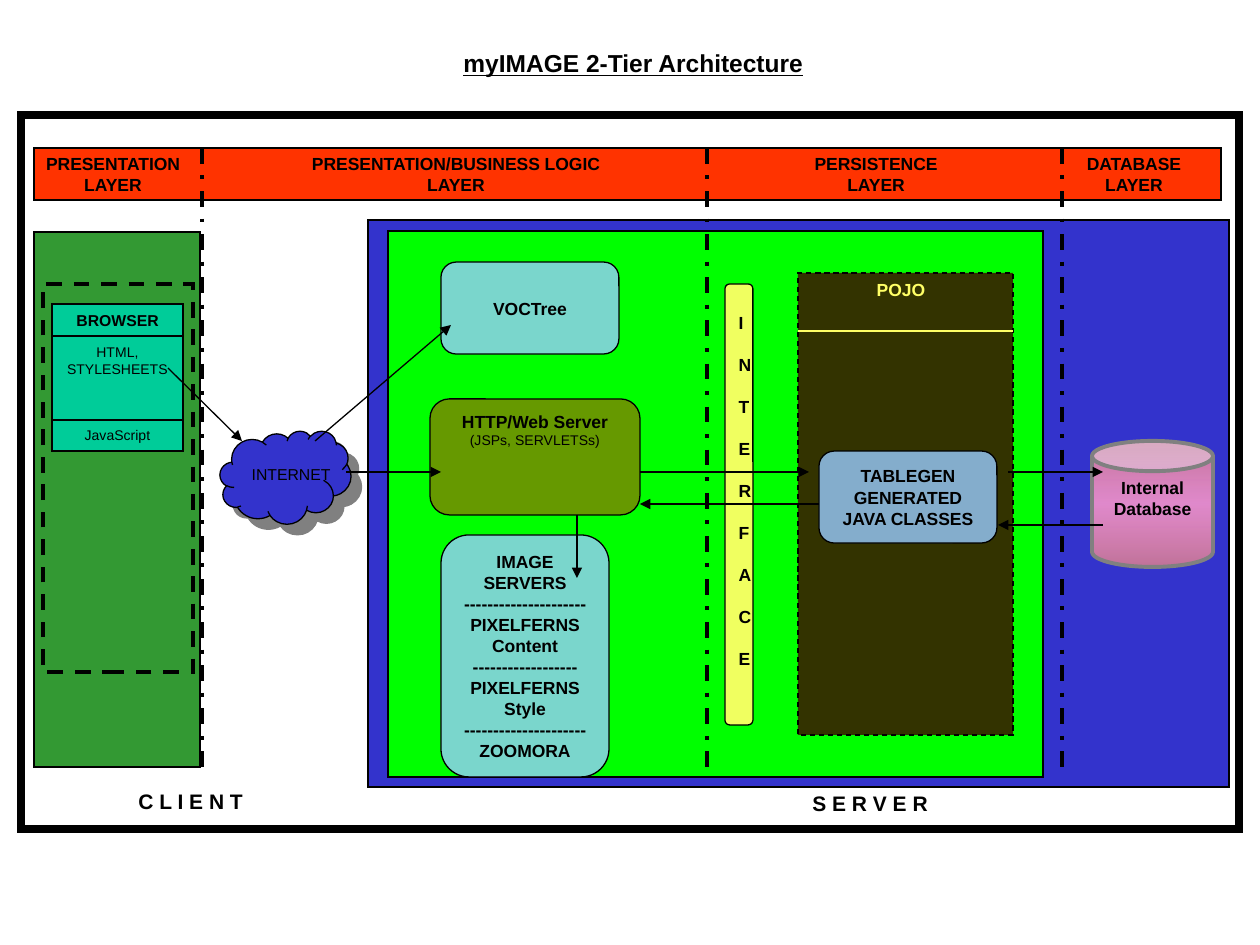
from copy import deepcopy
from dataclasses import dataclass
from typing import Optional

from lxml import etree
from pptx import Presentation
from pptx import util as u
from pptx.dml.color import RGBColor
from pptx.enum import dml, shapes, text
from pptx.oxml.ns import qn

EMU_PER_PX = 914400 / 126
BLACK = RGBColor(0x00, 0x00, 0x00)
RED = RGBColor(0xFF, 0x33, 0x00)
BLUE = RGBColor(0x33, 0x33, 0xCC)
CLIENT_GREEN = RGBColor(0x33, 0x99, 0x33)
SERVER_GREEN = RGBColor(0x00, 0xFF, 0x00)
TEAL = RGBColor(0x00, 0xCC, 0x99)
OLIVE = RGBColor(0x66, 0x99, 0x00)
DARK_OLIVE = RGBColor(0x33, 0x33, 0x00)
YELLOW = RGBColor(0xFF, 0xFF, 0x66)
SKY = RGBColor(0x99, 0xCC, 0xFF)
GRAY = RGBColor(0x80, 0x80, 0x80)
PINK = RGBColor(0xFF, 0x99, 0xCC)
ROSE = RGBColor(0xC0, 0x73, 0x99)

RECTANGLE = shapes.MSO_SHAPE.RECTANGLE
ROUNDED = shapes.MSO_SHAPE.ROUNDED_RECTANGLE
CENTER, LEFT = text.PP_ALIGN.CENTER, text.PP_ALIGN.LEFT
TOP, MIDDLE = text.MSO_ANCHOR.TOP, text.MSO_ANCHOR.MIDDLE
DASH, DASH_DOT = dml.MSO_LINE.DASH, dml.MSO_LINE.DASH_DOT


@dataclass(frozen=True)
class Line:
    text: str
    size: int = 10
    bold: bool = True
    before: float = 0
    color: RGBColor = BLACK
    underline: bool = False


@dataclass(frozen=True)
class Box:
    left: int
    top: int
    width: int
    height: int
    fill: Optional[RGBColor] = None
    lines: tuple[Line, ...] = ()
    kind: shapes.MSO_SHAPE = RECTANGLE
    opacity: int = 100
    border: RGBColor = BLACK
    weight: float = 0.75
    dash: Optional[dml.MSO_LINE] = None
    anchor: text.MSO_ANCHOR = MIDDLE
    wrap: bool = True
    inset_top: int = 6


@dataclass(frozen=True)
class Label:
    left: int
    top: int
    width: int
    height: int
    lines: tuple[Line, ...]
    align: text.PP_ALIGN = CENTER
    wrap: bool = True


@dataclass(frozen=True)
class Link:
    start: tuple[int, int]
    end: tuple[int, int]
    arrow: bool = True
    color: RGBColor = BLACK
    weight: float = 0.75
    dash: Optional[dml.MSO_LINE] = None


BOXES = (
    Box(21, 115, 1218, 714, weight=4.5),
    Box(34, 148, 1187, 52, RED),
    Box(368, 220, 861, 567, BLUE),
    Box(34, 232, 166, 535, CLIENT_GREEN),
    Box(388, 231, 655, 546, SERVER_GREEN),
    Box(52, 304, 131, 32, TEAL, (Line("BROWSER", 9),), wrap=False),
    Box(52, 336, 131, 115, TEAL,
        (Line("HTML,", 8, False), Line("STYLESHEETS", 8, False), Line("JavaScript", 8, False, 28)),
        wrap=False),
    Box(43, 284, 150, 388, weight=2.25, dash=DASH),
    Box(430, 399, 210, 116, OLIVE,
        (Line("HTTP/Web Server"), Line("(JSPs, SERVLETSs)", 8, False)), ROUNDED, anchor=TOP),
    Box(725, 284, 28, 441, YELLOW,
        tuple(Line(letter, before=12 if index else 0) for index, letter in enumerate("INTERFACE")),
        ROUNDED, 94, anchor=TOP, inset_top=27),
    Box(798, 273, 215, 462, DARK_OLIVE, dash=DASH),
    Box(819, 451, 178, 92, SKY, (Line("TABLEGEN GENERATED JAVA CLASSES"),), ROUNDED, 80),
    Box(441, 535, 168, 242, SKY,
        (Line("IMAGE SERVERS"), Line("-" * 21), Line("PIXELFERNS Content"),
         Line("-" * 18 + "PIXELFERNS Style"), Line("-" * 21 + " ZOOMORA")), ROUNDED, 80),
    Box(441, 262, 178, 92, SKY, (Line("VOCTree"),), ROUNDED, 80),
)
CLOUD = Box(220, 431, 131, 93, BLUE, kind=shapes.MSO_SHAPE.CLOUD)
DATABASE = Box(1092, 441, 121, 126, PINK, (Line("Internal"), Line("Database")),
               shapes.MSO_SHAPE.CAN, border=GRAY, weight=2.25, anchor=TOP)

LABELS = (
    Label(451, 42, 375, 43, (Line("myIMAGE 2-Tier Architecture", 14, underline=True),), LEFT),
    Label(231, 459, 120, 32, (Line("INTERNET", 9, False),), wrap=False),
    Label(862, 273, 78, 34, (Line("POJO", color=YELLOW),), wrap=False),
    Label(126, 783, 140, 38, (Line("C L I E N T", 12),), LEFT),
    Label(800, 785, 150, 38, (Line("S E R V E R", 12),), LEFT),
) + tuple(
    Label(left, 147, width, 55, (Line(name), Line("LAYER")))
    for left, width, name in (
        (28, 170, "PRESENTATION"), (286, 340, "PRESENTATION/BUSINESS LOGIC"),
        (791, 170, "PERSISTENCE"), (1064, 140, "DATABASE"))
)

LINKS = tuple(
    Link((x, 148), (x, 767), False, weight=2.25, dash=DASH_DOT) for x in (202, 707, 1062)
) + (
    Link((52, 420), (183, 420), False),
    Link((798, 331), (1013, 331), False, YELLOW),
    Link((1008, 472), (1103, 472)),
    Link((168, 368), (242, 441)),
    Link((640, 472), (809, 472)),
    Link((346, 472), (441, 472)),
    Link((577, 515), (577, 578)),
    Link((1103, 525), (998, 525)),
    Link((819, 504), (640, 504)),
    Link((315, 441), (451, 325)),
)


def px(length: int) -> u.Emu:
    return u.Emu(round(length * EMU_PER_PX))


def set_opacity(element, percent: int) -> None:
    for color in element.iter(qn("a:srgbClr")):
        etree.SubElement(color, qn("a:alpha"), val=str(percent * 1000))


def write_lines(frame, lines, align, anchor, wrap, inset_top=6) -> None:
    frame.word_wrap = wrap
    frame.vertical_anchor = anchor
    frame.margin_left = frame.margin_right = u.Inches(0.1)
    frame.margin_top, frame.margin_bottom = px(inset_top), px(6)
    for index, line in enumerate(lines):
        paragraph = frame.add_paragraph() if index else frame.paragraphs[0]
        paragraph.text = line.text
        paragraph.alignment = align
        paragraph.space_before = u.Pt(line.before)
        font = paragraph.font
        font.name, font.size, font.bold = "Arial", u.Pt(line.size), line.bold
        font.underline = line.underline
        font.color.rgb = line.color


def draw_box(slide, box: Box):
    shape = slide.shapes.add_shape(
        box.kind, px(box.left), px(box.top), px(box.width), px(box.height))
    shape.shadow.inherit = False
    if box.fill is None:
        shape.fill.background()
    else:
        shape.fill.solid()
        shape.fill.fore_color.rgb = box.fill
        if box.opacity < 100:
            set_opacity(shape.element.spPr.find(qn("a:solidFill")), box.opacity)
    shape.line.color.rgb = box.border
    shape.line.width = u.Pt(box.weight)
    if box.dash is not None:
        shape.line.dash_style = box.dash
    if box.kind == RECTANGLE:
        etree.SubElement(shape.element.spPr.find(qn("a:ln")), qn("a:miter"), lim="800000")
    if box.lines:
        write_lines(shape.text_frame, box.lines, CENTER, box.anchor, box.wrap, box.inset_top)
    return shape


def draw_label(slide, label: Label) -> None:
    shape = slide.shapes.add_textbox(
        px(label.left), px(label.top), px(label.width), px(label.height))
    write_lines(shape.text_frame, label.lines, label.align, TOP, label.wrap)


def draw_link(slide, link: Link) -> None:
    connector = slide.shapes.add_connector(
        shapes.MSO_CONNECTOR.STRAIGHT, *map(px, link.start + link.end))
    connector.line.color.rgb = link.color
    connector.line.width = u.Pt(link.weight)
    if link.dash is not None:
        connector.line.dash_style = link.dash
    properties = connector.element.spPr
    if link.arrow:
        etree.SubElement(properties.find(qn("a:ln")), qn("a:tailEnd"), type="triangle")
    etree.SubElement(properties, qn("a:effectLst"))


def add_cloud_shadow(shape) -> None:
    effects = shape.element.spPr.find(qn("a:effectLst"))
    shadow = etree.SubElement(effects, qn("a:outerShdw"), dist=str(u.Pt(8.5)), dir="2700000")
    etree.SubElement(shadow, qn("a:srgbClr"), val=str(GRAY))


def add_database_gradient(shape) -> None:
    shape.fill.gradient()
    shape.fill.gradient_angle = 90
    stops = shape.element.spPr.find(qn("a:gradFill")).find(qn("a:gsLst"))
    stops.append(deepcopy(stops[0]))
    for stop, position, color in zip(shape.fill.gradient_stops, (0, 0.5, 1), (ROSE, PINK, ROSE)):
        stop.position = position
        stop.color.rgb = color
    set_opacity(stops[1], 85)


def main() -> None:
    presentation = Presentation()
    presentation.slide_width, presentation.slide_height = px(1260), px(945)
    slide = presentation.slides.add_slide(presentation.slide_layouts[6])
    for box in BOXES:
        draw_box(slide, box)
    add_cloud_shadow(draw_box(slide, CLOUD))
    add_database_gradient(draw_box(slide, DATABASE))
    for label in LABELS:
        draw_label(slide, label)
    for link in LINKS:
        draw_link(slide, link)
    presentation.save("out.pptx")


if __name__ == "__main__":
    main()
